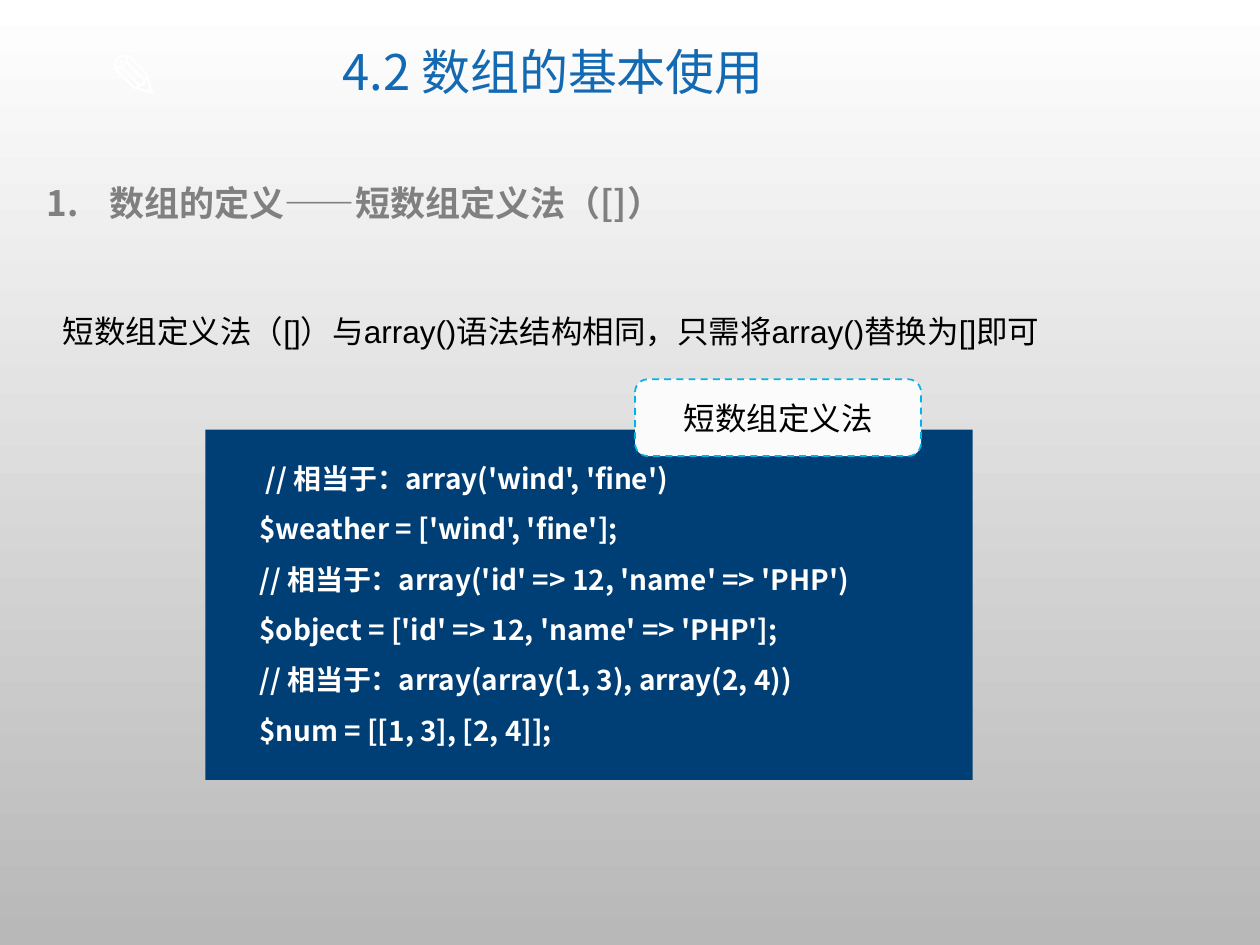
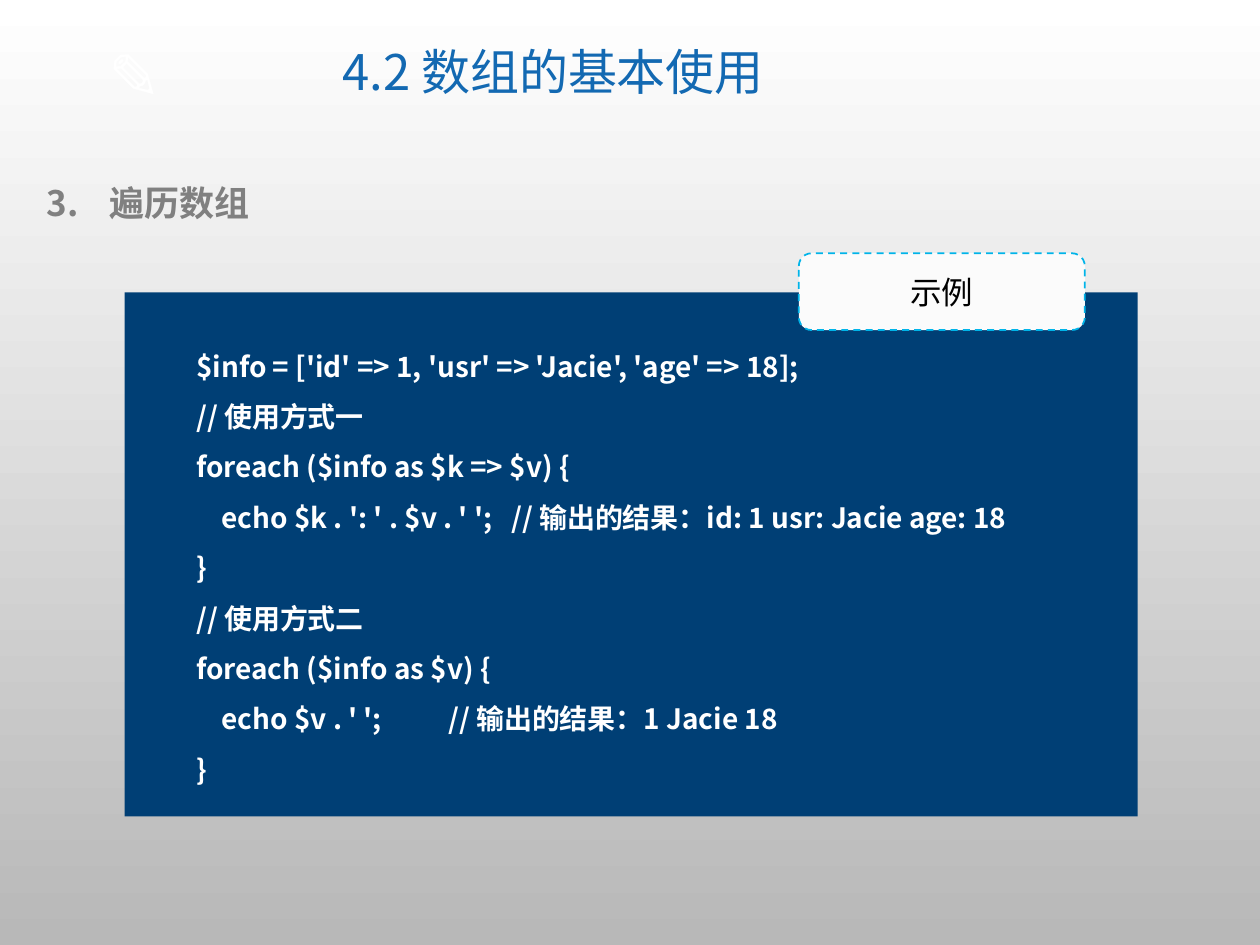
from dataclasses import dataclass

from lxml import etree
from pptx import Presentation
from pptx.dml.color import RGBColor
from pptx.enum import dml, shapes, text
from pptx.oxml.ns import qn
from pptx.util import Inches, Pt

# Shared style
CJK = "Noto Sans CJK SC"
WHITE, BLACK, SILVER, GRAY = "FFFFFF", "000000", "B8B8B8", "808080"
TITLE_BLUE, NAVY, CYAN, PAPER = "1369B2", "003F75", "00B4E9", "FBFBFB"
TITLE = "4.2 数组的基本使用"
TAG_SIZE = (2.27, 0.61)


@dataclass
class Box:
    left: float
    top: float
    width: float
    height: float

    def emu(self) -> tuple:
        return tuple(Inches(v) for v in (self.left, self.top, self.width, self.height))


@dataclass
class CodePanel:
    panel: Box
    code_box: Box
    lines: list[str]
    tag: str
    tag_left: float
    tag_top: float


@dataclass
class Lesson:
    number: int
    heading: str
    code: CodePanel
    intro: str = ""


def rgb(color: str) -> RGBColor:
    return RGBColor.from_string(color)


def add_run(p, content: str, *, size: float, color: str, font: str = CJK, bold: bool = False) -> None:
    r = p.add_run()
    r.text = content
    r.font.size, r.font.bold, r.font.name = Pt(size), bold, font
    r.font.color.rgb = rgb(color)
    etree.SubElement(r.font._element, qn("a:ea")).set("typeface", CJK)


def write(sp, lines: list[str], *, align=text.PP_ALIGN.LEFT, anchor=text.MSO_ANCHOR.TOP,
          spacing: float = 1.0, wrap: bool = True, **run_format) -> None:
    """Fill a shape with one formatted paragraph per line."""
    tf = sp.text_frame
    tf.word_wrap, tf.auto_size, tf.vertical_anchor = wrap, text.MSO_AUTO_SIZE.NONE, anchor
    for i, line in enumerate(lines):
        p = tf.add_paragraph() if i else tf.paragraphs[0]
        p.alignment, p.line_spacing = align, spacing
        p.space_before = p.space_after = Pt(0)
        add_run(p, line, **run_format)


def place(sp, box: Box) -> None:
    sp.left, sp.top, sp.width, sp.height = box.emu()


def add_block(parent, kind, box: Box, fill: str):
    sp = parent.add_shape(kind, *box.emu())
    sp.shadow.inherit = False
    sp.fill.solid()
    sp.fill.fore_color.rgb = rgb(fill)
    sp.line.fill.background()
    return sp


def number_paragraph(p, start: int) -> None:
    pPr = p._p.get_or_add_pPr()
    pPr.set("marL", str(Inches(0.5)))
    pPr.set("indent", str(-Inches(0.5)))
    bullet = etree.SubElement(pPr, qn("a:buAutoNum"))
    bullet.set("type", "arabicPeriod")
    if start > 1:
        bullet.set("startAt", str(start))


def set_background(master) -> None:
    fill = master.background.fill
    fill.gradient()
    fill.gradient_angle = 270
    for stop, color, position in zip(fill.gradient_stops, (WHITE, SILVER), (0, 1)):
        stop.color.rgb = rgb(color)
        stop.position = position


def add_code(s, code: CodePanel) -> None:
    # Dark panel with its listing
    group = s.shapes.add_group_shape()
    add_block(group.shapes, shapes.MSO_SHAPE.RECTANGLE, code.panel, NAVY)
    listing = group.shapes.add_textbox(*code.code_box.emu())
    write(listing, code.lines, spacing=1.5, size=16, color=WHITE, bold=True)

    # Dashed tag over the panel's top edge
    tag = add_block(s.shapes, shapes.MSO_SHAPE.ROUNDED_RECTANGLE,
                    Box(code.tag_left, code.tag_top, *TAG_SIZE), PAPER)
    tag.line.color.rgb = rgb(CYAN)
    tag.line.width = Pt(1)
    tag.line.dash_style = dml.MSO_LINE.DASH
    write(tag, [code.tag], align=text.PP_ALIGN.CENTER, anchor=text.MSO_ANCHOR.MIDDLE,
          size=18, color=BLACK, font="Calibri")


def add_lesson(prs, lesson: Lesson) -> None:
    s = prs.slides.add_slide(prs.slide_layouts[1])

    # Pencil and title
    pencil = s.shapes.add_textbox(*Box(0.76, 0.24, 0.86, 0.71).emu())
    write(pencil, ["✎"], wrap=False, size=36, color=WHITE, bold=True)
    place(s.shapes.title, Box(1.81, 0.17, 5.16, 0.85))
    write(s.shapes.title, [TITLE], align=text.PP_ALIGN.CENTER, anchor=text.MSO_ANCHOR.MIDDLE,
          spacing=0.9, size=28, color=TITLE_BLUE)

    # Numbered heading
    heading = s.placeholders[1]
    place(heading, Box(0.27, 1.39, 9.22, 0.44))
    number_paragraph(heading.text_frame.paragraphs[0], lesson.number)
    write(heading, [lesson.heading], size=20, color=GRAY, bold=True)

    if lesson.intro:
        intro = s.shapes.add_textbox(*Box(0.4, 2.13, 9.19, 0.71).emu())
        write(intro, [lesson.intro], spacing=2.0, size=18, color=BLACK, font="Arial")
    add_code(s, lesson.code)


LESSONS = [
    Lesson(
        1, "数组的定义——短数组定义法（[]）",
        CodePanel(
            Box(1.63, 3.41, 6.09, 2.78), Box(1.96, 3.48, 5.76, 2.52),
            [" // 相当于：array('wind', 'fine')",
             "$weather = ['wind', 'fine'];",
             "// 相当于：array('id' => 12, 'name' => 'PHP')",
             "$object = ['id' => 12, 'name' => 'PHP'];",
             "// 相当于：array(array(1, 3), array(2, 4))",
             "$num = [[1, 3], [2, 4]];"],
            "短数组定义法", 5.04, 3.01),
        intro="短数组定义法（[]）与array()语法结构相同，只需将array()替换为[]即可"),
    Lesson(
        3, "遍历数组",
        CodePanel(
            Box(0.99, 2.32, 8.04, 4.16), Box(1.46, 2.59, 7.57, 3.74),
            ["$info = ['id' => 1, 'usr' => 'Jacie', 'age' => 18];",
             "// 使用方式一",
             "foreach ($info as $k => $v) {",
             "    echo $k . ': ' . $v . ' ';\t// 输出的结果：id: 1 usr: Jacie age: 18",
             "}",
             "// 使用方式二",
             "foreach ($info as $v) {",
             "    echo $v . ' ';\t\t// 输出的结果：1 Jacie 18",
             "}"],
            "示例", 6.34, 2.01)),
]


def main() -> None:
    prs = Presentation()
    prs.slide_width, prs.slide_height = Inches(10), Inches(7.5)
    set_background(prs.slide_master)
    for lesson in LESSONS:
        add_lesson(prs, lesson)
    prs.save("out.pptx")


if __name__ == "__main__":
    main()
